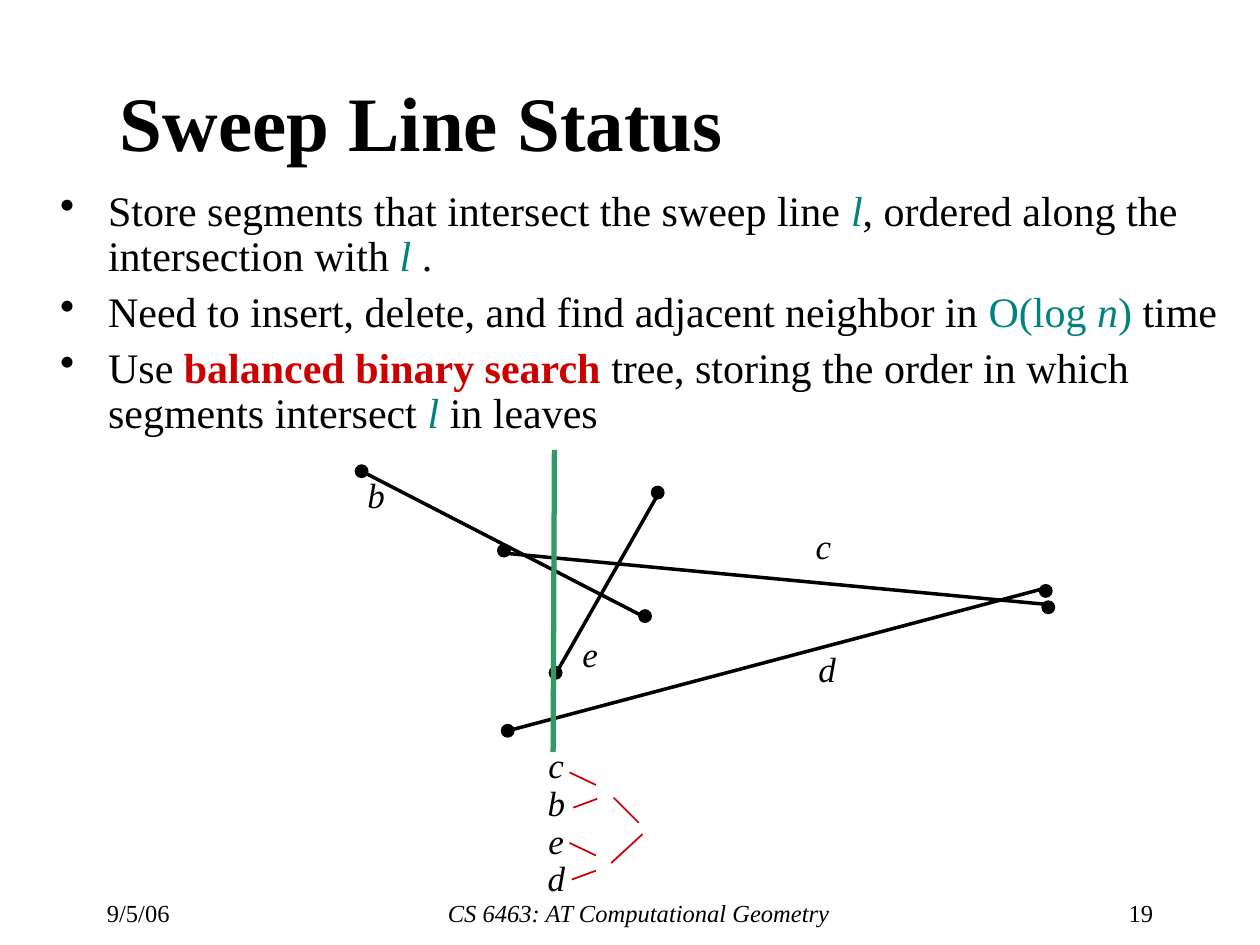
from dataclasses import dataclass

from lxml.etree import SubElement
from pptx import Presentation
from pptx.dml.color import RGBColor
from pptx.enum.shapes import MSO_CONNECTOR as Connector, MSO_SHAPE as Shape
from pptx.enum.text import MSO_ANCHOR as Anchor, MSO_AUTO_SIZE as AutoSize, PP_ALIGN as Align
from pptx.oxml.ns import qn
from pptx.util import Inches, Pt


@dataclass(frozen=True)
class Theme:
    font: str = "Times New Roman"
    ink: str = "000000"
    math: str = "008380"
    accent: str = "CC0000"
    sweep: str = "339966"
    title: int = 44
    body: int = 24
    label: int = 20
    footer: int = 14


THEME = Theme()
DOT = 0.1

PLAIN = {}
MATH = {"color": THEME.math}
VARIABLE = {"color": THEME.math, "italic": True}
KEY_TERM = {"color": THEME.accent, "bold": True}

POINTS = [
    [("Store segments that intersect the sweep line ", PLAIN), ("l", VARIABLE),
     (", ordered along the intersection with ", PLAIN), ("l", VARIABLE), (" .", PLAIN)],
    [("Need to insert, delete, and find adjacent neighbor in ", PLAIN), ("O(log ", MATH),
     ("n", VARIABLE), (")", MATH), (" time", PLAIN)],
    [("Use ", PLAIN), ("balanced binary search", KEY_TERM),
     (" tree, storing the order in which segments intersect ", PLAIN),
     ("l ", VARIABLE), ("in leaves", PLAIN)],
]

ENDPOINTS = [(4.41, 5.34), (5.22, 3.91), (4.03, 5.8), (8.3, 4.69),
             (8.32, 4.82), (4, 4.37), (2.87, 3.74), (5.12, 4.89)]
SEGMENTS = [(2.87, 3.74, 5.14, 4.91), (4.41, 5.35, 5.23, 3.91),
            (4, 4.39, 8.34, 4.8), (4.03, 5.8, 8.29, 4.67)]
SEGMENT_NAMES = [("b", 2.77, 3.71), ("c", 6.32, 4.11), ("d", 6.35, 5.09), ("e", 4.47, 4.97)]
SWEEP_LINE = (4.4, 3.57, 4.39, 5.97)
TREE_EDGES = [(4.52, 6.13, 4.73, 6.23), (4.55, 6.41, 4.74, 6.34),
              (4.52, 6.69, 4.73, 6.79), (4.87, 6.33, 5.07, 6.53),
              (4.85, 6.85, 5.1, 6.62), (4.54, 6.98, 4.73, 6.91)]
FOOTERS = [("CS 6463: AT Computational Geometry", 1.9, 6.34, Align.CENTER, True),
           ("19", 8.43, 0.82, Align.RIGHT, False),
           ("9/5/06", 0.75, 0.95, Align.LEFT, False)]


def style_run(run, size, color=THEME.ink, bold=False, italic=False):
    values = {"name": THEME.font, "size": Pt(size), "bold": bold, "italic": italic}
    for name, value in values.items():
        setattr(run.font, name, value)
    run.font.color.rgb = RGBColor.from_string(color)


def add_frame(slide, *box):
    frame = slide.shapes.add_textbox(*map(Inches, box)).text_frame
    frame.word_wrap = True
    return frame


def add_text(slide, text, box, size, align, italic=False, spacing=None):
    paragraph = add_frame(slide, *box).paragraphs[0]
    paragraph.text = text
    paragraph.alignment = align
    paragraph.line_spacing = spacing
    for run in paragraph.runs:
        style_run(run, size, italic=italic)


def add_title(slide, text):
    title = slide.shapes.title
    place = {"left": 0.85, "top": 0.33, "width": 8.25, "height": 1.25}
    for name, value in place.items():
        setattr(title, name, Inches(value))
    frame = title.text_frame
    frame.text = text
    frame.auto_size = AutoSize.NONE
    frame.vertical_anchor = Anchor.MIDDLE
    paragraph = frame.paragraphs[0]
    paragraph.alignment = Align.LEFT
    style_run(paragraph.runs[0], THEME.title, bold=True)


def add_bullets(slide, points, box):
    frame = add_frame(slide, *box)
    for index, parts in enumerate(points):
        paragraph = frame.add_paragraph() if index else frame.paragraphs[0]
        paragraph.line_spacing = 0.9
        paragraph.space_before = Pt(6)
        properties = paragraph._p.get_or_add_pPr()
        indent = Inches(0.38)
        properties.set("marL", str(indent))
        properties.set("indent", str(-indent))
        SubElement(properties, qn("a:buChar")).set("char", "•")
        for text, style in parts:
            run = paragraph.add_run()
            run.text = text
            style_run(run, THEME.body, **style)


def add_dot(slide, x, y):
    corner = (x - DOT / 2, y - DOT / 2, DOT, DOT)
    dot = slide.shapes.add_shape(Shape.OVAL, *map(Inches, corner))
    dot.shadow.inherit = False
    dot.fill.solid()
    dot.fill.fore_color.rgb = RGBColor.from_string(THEME.ink)
    dot.line.color.rgb = RGBColor.from_string(THEME.ink)
    dot.line.width = Pt(0.75)


def add_line(slide, ends, color, width):
    line = slide.shapes.add_connector(Connector.STRAIGHT, *map(Inches, ends))
    line.line.color.rgb = RGBColor.from_string(color)
    line.line.width = Pt(width)
    SubElement(line._element.spPr, qn("a:effectLst"))


def main():
    deck = Presentation()
    deck.slide_width, deck.slide_height = Inches(10), Inches(7.5)
    slide = deck.slides.add_slide(deck.slide_layouts[5])

    add_title(slide, "Sweep Line Status")
    add_bullets(slide, POINTS, (0.38, 1.46, 9.43, 2.73))

    for x, y in ENDPOINTS:
        add_dot(slide, x, y)
    for ends in SEGMENTS:
        add_line(slide, ends, THEME.ink, 2)
    for name, left, top in SEGMENT_NAMES:
        add_text(slide, name, (left, top, 0.43, 0.44), THEME.label, Align.CENTER, italic=True)

    add_line(slide, SWEEP_LINE, THEME.sweep, 3)
    add_text(slide, "c\vb\ve\vd", (4.2, 5.89, 0.43, 1.3), THEME.label, Align.CENTER,
             italic=True, spacing=0.9)
    for ends in TREE_EDGES:
        add_line(slide, ends, THEME.accent, 1)

    for text, left, width, align, italic in FOOTERS:
        add_text(slide, text, (left, 7.08, width, 0.25), THEME.footer, align, italic=italic)

    deck.save("out.pptx")


if __name__ == "__main__":
    main()
